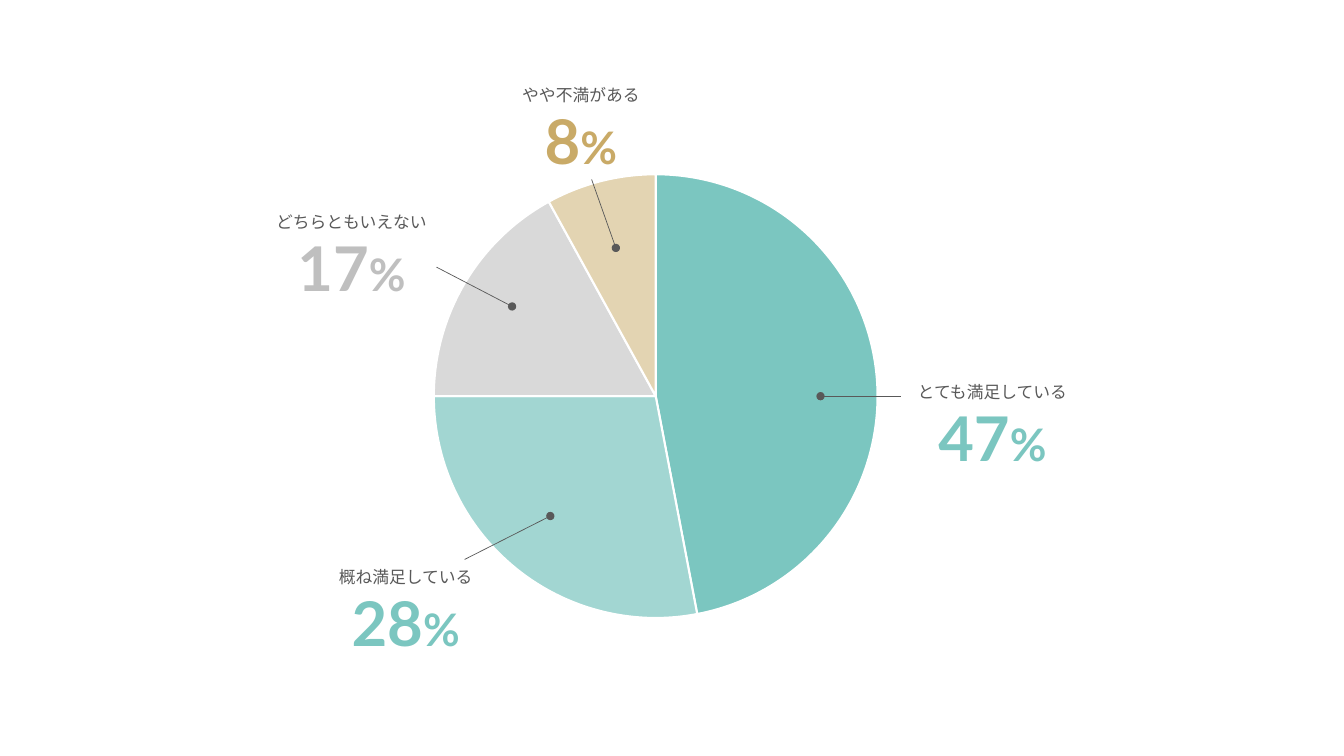
from dataclasses import dataclass

from lxml import etree
from pptx import Presentation
from pptx.chart.chart import Chart
from pptx.chart.data import CategoryChartData
from pptx.dml.color import RGBColor
from pptx.enum.chart import XL_CHART_TYPE
from pptx.enum.shapes import MSO_CONNECTOR
from pptx.enum.text import MSO_AUTO_SIZE, PP_ALIGN
from pptx.oxml import parse_xml
from pptx.oxml.ns import nsdecls, qn
from pptx.slide import Slide
from pptx.util import Pt

PIE = XL_CHART_TYPE.PIE
STRAIGHT = MSO_CONNECTOR.STRAIGHT
FIT_SHAPE = MSO_AUTO_SIZE.SHAPE_TO_FIT_TEXT
CENTER = PP_ALIGN.CENTER

TEAL = RGBColor(0x7B, 0xC6, 0xC0)
GOLD = RGBColor(0xC9, 0xAA, 0x67)
LIGHT_GRAY = RGBColor(0xD9, 0xD9, 0xD9)
MID_GRAY = RGBColor(0xBF, 0xBF, 0xBF)
DARK_GRAY = RGBColor(0x59, 0x59, 0x59)
WHITE = RGBColor(0xFF, 0xFF, 0xFF)
BLACK = RGBColor(0x00, 0x00, 0x00)

NUMBER_FONT = "Lato"
LABEL_FONT = "Noto Sans CJK JP"
LABEL_HEIGHT = 21.6
NUMBER_HEIGHT = 60.5
NUMBER_OFFSET = 13

PIE_FRAME = (215.3, 114.5, 506.2, 337)
PIE_DIAMETER = 317


@dataclass(frozen=True)
class Answer:
    label: str
    percent: int
    slice_color: RGBColor
    opacity: int
    number_color: RGBColor
    center: float
    top: float
    label_width: float
    number_width: float
    leader: tuple[float, float, float, float]


ANSWERS = [
    Answer("とても満足している", 47, TEAL, 100, TEAL, 708.9, 269.3, 134.6, 132.5,
           (586.1, 283, 643.7, 283)),
    Answer("概ね満足している", 28, TEAL, 70, TEAL, 289.8, 401, 123.1, 127.4,
           (393.1, 368.6, 331.9, 399.6)),
    Answer("どちらともいえない", 17, LIGHT_GRAY, 100, MID_GRAY, 251.1, 147.6, 134.6, 122.4,
           (365.8, 218.9, 311.8, 190.8)),
    Answer("やや不満がある", 8, GOLD, 50, GOLD, 415, 56.9, 111.6, 103.7,
           (439.9, 177.1, 422.6, 128.2)),
]


def add_text(slide: Slide, runs: list[tuple[str, float]], *, center: float, top: float,
             width: float, height: float, font: str, color: RGBColor,
             bold: bool = False) -> None:
    box = slide.shapes.add_textbox(Pt(center - width / 2), Pt(top), Pt(width), Pt(height))
    frame = box.text_frame
    frame.word_wrap = True
    frame.auto_size = FIT_SHAPE
    paragraph = frame.paragraphs[0]
    paragraph.alignment = CENTER
    for text, size in runs:
        run = paragraph.add_run()
        run.text = text
        run.font.size = Pt(size)
        run.font.bold = bold
        run.font.color.rgb = color
        run.font.name = font
        east_asian = etree.SubElement(run.font._element, qn("a:ea"))
        east_asian.set("typeface", font)


def add_leader(slide: Slide, ends: tuple[float, float, float, float]) -> None:
    leader = slide.shapes.add_connector(STRAIGHT, *map(Pt, ends))
    leader.line.color.rgb = DARK_GRAY
    leader.line.width = Pt(0.5)
    head = etree.SubElement(leader.line._get_or_add_ln(), qn("a:headEnd"))
    head.set("type", "oval")
    etree.SubElement(leader._element.spPr, qn("a:effectLst"))


def set_plot_area(chart: Chart) -> None:
    width = PIE_DIAMETER / PIE_FRAME[2]
    height = PIE_DIAMETER / PIE_FRAME[3]
    layout = parse_xml(
        f'<c:layout {nsdecls("c")}><c:manualLayout><c:layoutTarget val="inner"/>'
        '<c:xMode val="edge"/><c:yMode val="edge"/>'
        f'<c:x val="{(1 - width) / 2:.4f}"/><c:y val="{(1 - height) / 2:.4f}"/>'
        f'<c:w val="{width:.4f}"/><c:h val="{height:.4f}"/>'
        '</c:manualLayout></c:layout>'
    )
    plot_area = chart._chartSpace.chart.plotArea
    for old_layout in plot_area.findall(qn("c:layout")):
        plot_area.remove(old_layout)
    plot_area.insert(0, layout)


def add_satisfaction_pie(slide: Slide) -> None:
    data = CategoryChartData()
    data.categories = [str(number) for number in range(1, len(ANSWERS) + 1)]
    data.add_series("Series 1", [answer.percent for answer in ANSWERS])
    chart = slide.shapes.add_chart(PIE, *map(Pt, PIE_FRAME), data).chart
    chart.has_title = False
    chart.has_legend = False
    chart.font.name = LABEL_FONT
    chart.font.size = Pt(10)
    chart.font.color.rgb = BLACK
    set_plot_area(chart)
    plot = chart.plots[0]
    plot.vary_by_categories = True
    for index, answer in enumerate(ANSWERS):
        pie_slice = plot.series[0].points[index].format
        pie_slice.fill.solid()
        pie_slice.fill.fore_color.rgb = answer.slice_color
        pie_slice.line.color.rgb = WHITE
        pie_slice.line.width = Pt(1.5)
        if answer.opacity < 100:
            color = pie_slice.fill._xPr.find(qn("a:solidFill"))[0]
            alpha = etree.SubElement(color, qn("a:alpha"))
            alpha.set("val", str(answer.opacity * 1000))


def add_callout(slide: Slide, answer: Answer) -> None:
    add_text(slide, [(str(answer.percent), 44), ("%", 32)], center=answer.center,
             top=answer.top + NUMBER_OFFSET, width=answer.number_width,
             height=NUMBER_HEIGHT, font=NUMBER_FONT, color=answer.number_color, bold=True)
    add_text(slide, [(answer.label, 12)], center=answer.center, top=answer.top,
             width=answer.label_width, height=LABEL_HEIGHT, font=LABEL_FONT,
             color=DARK_GRAY)
    add_leader(slide, answer.leader)


def main() -> None:
    presentation = Presentation()
    presentation.slide_width = Pt(960)
    presentation.slide_height = Pt(540)
    slide = presentation.slides.add_slide(presentation.slide_layouts[6])
    add_satisfaction_pie(slide)
    for answer in ANSWERS:
        add_callout(slide, answer)
    presentation.save("out.pptx")


if __name__ == "__main__":
    main()
